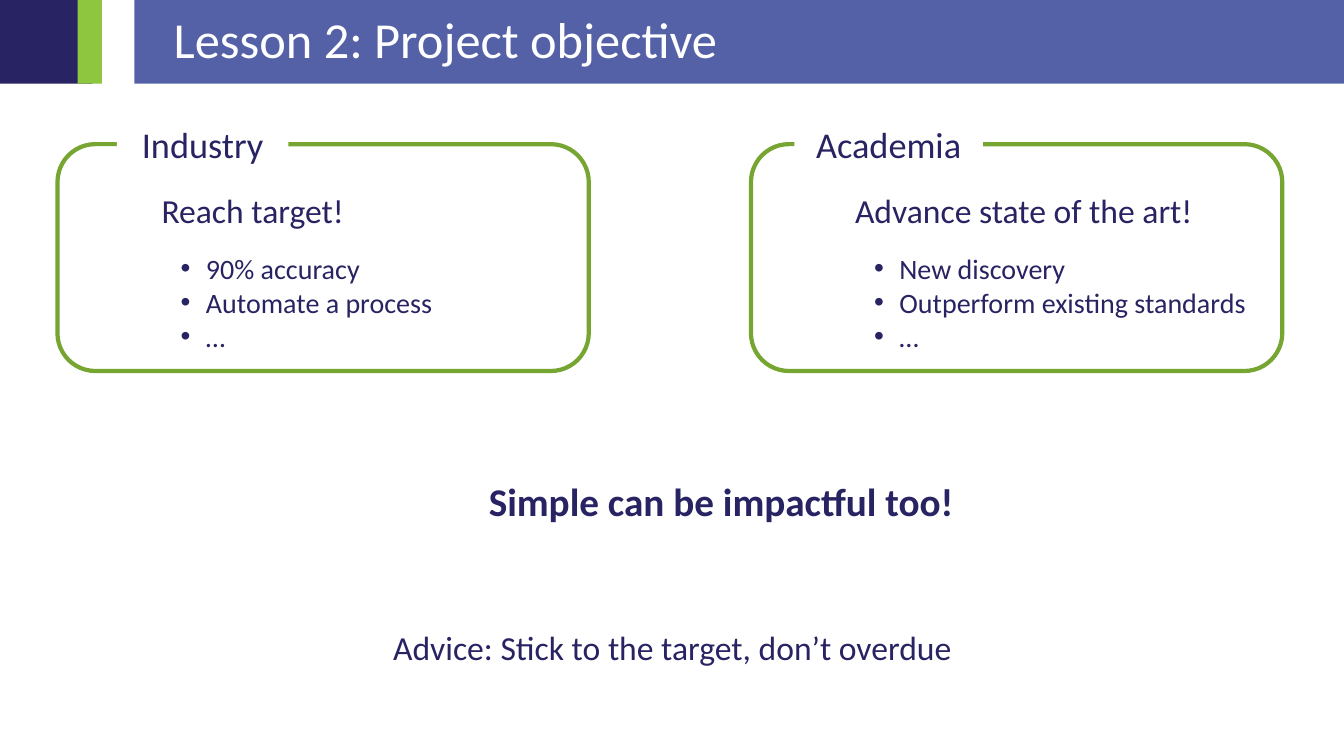
import dataclasses

import lxml.etree
import pptx
import pptx.dml.color
import pptx.enum.shapes
import pptx.enum.text
import pptx.oxml.ns
import pptx.util

RGB = pptx.dml.color.RGBColor.from_string
SHAPE = pptx.enum.shapes.MSO_SHAPE
ALIGN = pptx.enum.text.PP_ALIGN
ANCHOR = pptx.enum.text.MSO_ANCHOR


@dataclasses.dataclass
class Theme:
    font: str = "Calibri"
    white: str = "FFFFFF"
    navy: str = "282362"
    indigo: str = "5461A6"
    lime: str = "8EC63F"
    green: str = "76A531"
    title: float = 36
    message: float = 28
    label: float = 25.9
    lead: float = 24
    point: float = 20


theme = Theme()
prs = pptx.Presentation()
prs.slide_width = pptx.util.Inches(13.33)
prs.slide_height = pptx.util.Inches(7.5)
COL = prs.slide_width / 100
ROW = prs.slide_height / 100
s = prs.slides.add_slide(prs.slide_layouts[5])


def add_block(shapes, col, row, cols, rows, kind=None, fill=None):
    place = [int(v) for v in (col * COL, row * ROW, cols * COL, rows * ROW)]
    if kind is None:
        sp = shapes.add_textbox(*place)
    else:
        sp = shapes.add_shape(kind, *place)
        sp.shadow.inherit = False
        sp.fill.solid()
        sp.fill.fore_color.rgb = RGB(fill)
        sp.line.fill.background()
    sp.text_frame.word_wrap = True
    return sp


def write(p, text, size, spacing, color=theme.navy, align=ALIGN.LEFT, bold=False):
    p.alignment = align
    p.line_spacing = spacing
    r = p.add_run()
    r.text = text
    r.font.name = theme.font
    r.font.size = pptx.util.Pt(size)
    r.font.bold = bold
    r.font.color.rgb = RGB(color)


HEADER = 11.07
for col, cols, fill in ((0, 6.9, theme.navy), (5.78, 1.8, theme.lime)):
    add_block(s.shapes, col, 0, cols, HEADER, SHAPE.RECTANGLE, fill)

title = s.shapes.title
title.left, title.top = int(10 * COL), 0
title.width, title.height = int(90 * COL), int(HEADER * ROW)
title.fill.solid()
title.fill.fore_color.rgb = RGB(theme.indigo)
tf = title.text_frame
tf.auto_size = pptx.enum.text.MSO_AUTO_SIZE.NONE
tf.vertical_anchor = ANCHOR.MIDDLE
tf.margin_left = pptx.util.Inches(0.39)
write(tf.paragraphs[0], "Lesson 2: Project objective", theme.title, 0.9, theme.white)

panels = (
    (4.28, "Industry", 4.42, 12.75, "Reach target!",
     ("90% accuracy", "Automate a process", "…")),
    (55.88, "Academia", 3.23, 14.03, "Advance state of the art!",
     ("New discovery", "Outperform existing standards", "…")),
)
for col, label, label_shift, label_cols, lead, points in panels:
    group = s.shapes.add_group_shape().shapes

    frame = add_block(group, col, 19.07, 39.53, 30, SHAPE.ROUNDED_RECTANGLE, theme.white)
    frame.line.color.rgb = RGB(theme.green)
    frame.line.width = pptx.util.Pt(3)

    tab = add_block(group, col + label_shift, 16.8, label_cols, 5.87, SHAPE.RECTANGLE, theme.white)
    tab.text_frame.vertical_anchor = ANCHOR.MIDDLE
    write(tab.text_frame.paragraphs[0], label, theme.label, 0.7, align=ALIGN.CENTER)

    tf = add_block(group, col + 3.25, 25.47, 36.3, 23.47).text_frame
    p = tf.paragraphs[0]
    p._p.get_or_add_pPr().set("marL", str(pptx.util.Inches(0.5)))
    write(p, lead, theme.lead, 0.8)
    for i, point in enumerate(points):
        p = tf.add_paragraph()
        pPr = p._p.get_or_add_pPr()
        pPr.set("marL", str(pptx.util.Inches(0.94)))
        pPr.set("indent", str(pptx.util.Inches(-0.25)))
        for tag, key, value in (("a:buFont", "typeface", "Arial"), ("a:buChar", "char", "•")):
            lxml.etree.SubElement(pPr, pptx.oxml.ns.qn(tag)).set(key, value)
        p.space_before = pptx.util.Pt(5 if i else 20)
        write(p, point, theme.point, 0.8)

message = add_block(s.shapes, 35.63, 63.2, 39.6, 6.67)
write(message.text_frame.paragraphs[0], "Simple can be impactful too!", theme.message, 0.9, bold=True)

advice = add_block(s.shapes, 26.18, 82.93, 47.7, 8.4)
write(advice.text_frame.paragraphs[0], "Advice: Stick to the target, don’t overdue",
      theme.lead, 0.9, align=ALIGN.CENTER)

prs.save("out.pptx")
